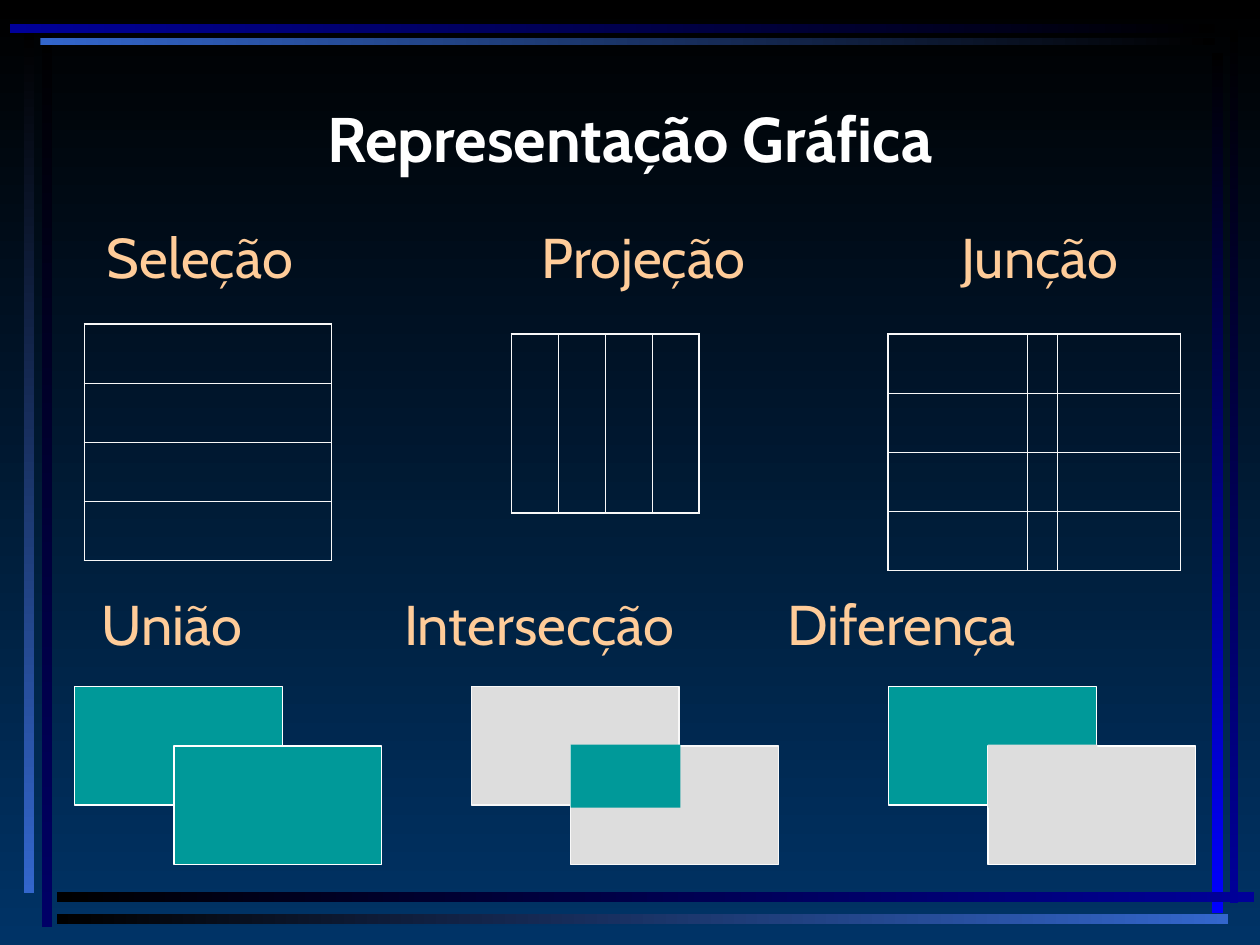
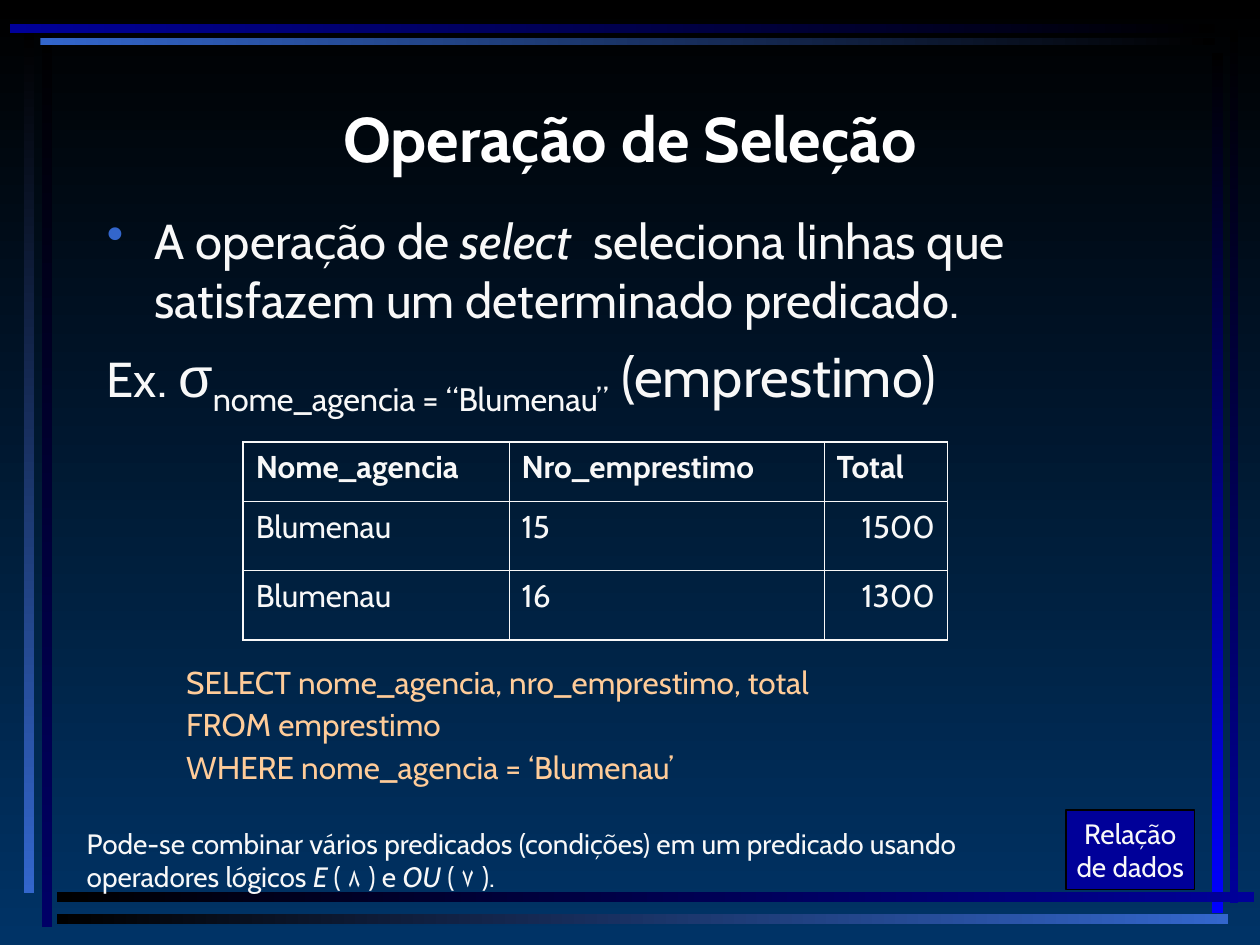
from dataclasses import dataclass
from typing import Optional, Sequence

from lxml.etree import SubElement
from pptx import Presentation
from pptx.dml.color import RGBColor
from pptx.dml.fill import FillFormat
from pptx.enum.shapes import MSO_SHAPE
from pptx.enum.text import MSO_ANCHOR, PP_ALIGN
from pptx.oxml.ns import qn
from pptx.shapes.autoshape import Shape
from pptx.slide import Slide
from pptx.text.text import TextFrame
from pptx.util import Inches, Length, Pt

GRID_COLUMNS = 100
GRID_ROWS = 75
SLIDE_WIDTH = Inches(10)
SLIDE_HEIGHT = Inches(GRID_ROWS / 10)
UNIT = SLIDE_WIDTH / GRID_COLUMNS

FONT = "Cabin"
BLACK = "000000"
WHITE = "FFFFFF"
PALE = "F8F8F8"
PEACH = "FFCC99"
NIGHT = "003366"
INK = "000066"
NAVY = "000099"
BLUE = "0000FF"
SKY = "3366CC"
TEAL = "009999"
GRAY = "DDDDDD"

ACROSS = 0
DOWN = 270
OUTER_BORDER = 1.08
INNER_BORDER = 0.45


@dataclass(frozen=True)
class Area:
    left: float
    top: float
    width: float
    height: float

    def lengths(self) -> list[Length]:
        return [grid(value) for value in (self.left, self.top, self.width, self.height)]


@dataclass(frozen=True)
class Band:
    area: Area
    start: str
    end: str
    angle: int


@dataclass(frozen=True)
class Span:
    text: str
    italic: Optional[bool] = None
    size: Optional[float] = None
    font: Optional[str] = None
    baseline: int = 0


@dataclass(frozen=True)
class Para:
    spans: Sequence[Span]
    size: float
    color: str = PALE
    bold: bool = False
    align: PP_ALIGN = PP_ALIGN.LEFT
    before: float = 0
    line_spacing: float = 1
    indent: float = 0
    bullet: str = ""


@dataclass(frozen=True)
class Heading:
    text: str
    left: float
    top: float
    width: float


@dataclass(frozen=True)
class SetPair:
    left: float
    back: str
    front: str
    overlap: Optional[str] = None
    outline: str = WHITE


BANDS = (
    Band(Area(3.3, 2.8, 0.8, 70.8), BLACK, INK, DOWN),
    Band(Area(1.9, 2.5, 0.8, 68.4), BLACK, SKY, DOWN),
    Band(Area(97.6, 2.4, 0.7, 69.3), BLACK, NAVY, DOWN),
    Band(Area(96.2, 4.2, 0.9, 68.3), BLACK, BLUE, DOWN),
    Band(Area(4.5, 70.8, 95, 0.8), BLACK, NAVY, ACROSS),
    Band(Area(4.5, 72.5, 93, 0.8), BLACK, SKY, ACROSS),
    Band(Area(3.2, 3, 93.2, 0.6), SKY, BLACK, ACROSS),
    Band(Area(0.8, 1.9, 95.6, 0.7), NAVY, BLACK, ACROSS),
)
TITLE_AREA = Area(7.5, 3.6, 85, 10.8)

HEADINGS = (
    Heading("Seleção", 7.5, 17.8, 22),
    Heading("Projeção", 42, 17.8, 24),
    Heading("Junção", 75.3, 17.8, 20),
    Heading("União", 7.1, 46.9, 20),
    Heading("Intersecção", 31.1, 46.9, 28),
    Heading("Diferença", 61.5, 46.9, 26),
)
PAIRS = (
    SetPair(5.9, TEAL, TEAL),
    SetPair(37.4, GRAY, GRAY, TEAL, PALE),
    SetPair(70.5, TEAL, GRAY, GRAY),
)
PAIR_TOP = 54.5
SET_WIDTH, SET_HEIGHT = 16.5, 9.4
SHIFT_RIGHT, SHIFT_DOWN = 7.9, 4.7

LOANS = (
    ("Nome_agencia", "Nro_emprestimo", "Total"),
    ("Blumenau", "15", "1500"),
    ("Blumenau", "16", "1300"),
)
QUERY = (
    "SELECT nome_agencia, nro_emprestimo, total",
    "FROM emprestimo",
    "WHERE nome_agencia = ‘Blumenau’",
)


def grid(units: float) -> Length:
    return Length(round(units * UNIT))


def color(value: str) -> RGBColor:
    return RGBColor.from_string(value)


def paint_gradient(fill: FillFormat, start: str, end: str, angle: int) -> None:
    fill.gradient()
    fill.gradient_angle = angle
    for stop, value in zip(fill.gradient_stops, (start, end)):
        stop.color.rgb = color(value)


def draw_box(page: Slide, area: Area, fill: Optional[str] = None,
             outline: Optional[str] = None) -> Shape:
    box = page.shapes.add_shape(MSO_SHAPE.RECTANGLE, *area.lengths())
    box.shadow.inherit = False
    if fill:
        box.fill.solid()
        box.fill.fore_color.rgb = color(fill)
    if outline:
        box.line.color.rgb = color(outline)
        box.line.width = Pt(0.75)
    else:
        box.line.fill.background()
    return box


def write(frame: TextFrame, paras: Sequence[Para]) -> None:
    for index, para in enumerate(paras):
        paragraph = frame.add_paragraph() if index else frame.paragraphs[0]
        paragraph.alignment = para.align
        paragraph.space_before = Pt(para.before)
        paragraph.line_spacing = para.line_spacing
        paragraph.font.name = FONT
        paragraph.font.size = Pt(para.size)
        paragraph.font.bold = para.bold
        paragraph.font.color.rgb = color(para.color)
        if para.indent:
            set_indent(paragraph, para)
        for span in para.spans:
            run = paragraph.add_run()
            run.text = span.text
            if span.italic:
                run.font.italic = True
            if span.size:
                run.font.size = Pt(span.size)
            if span.font:
                run.font.name = span.font
            if span.baseline:
                run._r.get_or_add_rPr().set("baseline", str(span.baseline * 1000))


def set_indent(paragraph, para: Para) -> None:
    properties = paragraph._p.get_or_add_pPr()
    properties.set("marL", str(grid(para.indent)))
    properties.set("indent", str(-grid(para.indent)))
    if para.bullet:
        defaults = properties.find(qn("a:defRPr"))
        bullet_color = SubElement(properties, qn("a:buClr"))
        SubElement(bullet_color, qn("a:srgbClr")).set("val", SKY)
        character = SubElement(properties, qn("a:buChar"))
        character.set("char", para.bullet)
        for node in (bullet_color, character):
            defaults.addprevious(node)


def draw_text(page: Slide, area: Area, paras: Sequence[Para],
              anchor: MSO_ANCHOR = MSO_ANCHOR.TOP) -> None:
    frame = page.shapes.add_textbox(*area.lengths()).text_frame
    frame.word_wrap = True
    frame.vertical_anchor = anchor
    write(frame, paras)


def draw_table(page: Slide, left: float, top: float, widths: Sequence[float],
               heights: Sequence[float], texts: Sequence[Sequence[str]] = ()) -> None:
    area = Area(left, top, sum(widths), sum(heights))
    table = page.shapes.add_table(len(heights), len(widths), *area.lengths()).table
    table.first_row = bool(texts)
    table.horz_banding = False
    for column, width in zip(table.columns, widths):
        column.width = grid(width)
    for row, height in zip(table.rows, heights):
        row.height = grid(height)
    last_row, last_column = len(heights) - 1, len(widths) - 1
    for row in range(len(heights)):
        for column in range(len(widths)):
            cell = table.cell(row, column)
            edges = {"L": column == 0, "R": column == last_column,
                     "T": row == 0, "B": row == last_row}
            for side, outer in edges.items():
                border = SubElement(cell._tc.get_or_add_tcPr(), qn(f"a:ln{side}"))
                border.set("w", str(Pt(OUTER_BORDER if outer else INNER_BORDER)))
                fill = SubElement(border, qn("a:solidFill"))
                SubElement(fill, qn("a:srgbClr")).set("val", PALE)
            cell.fill.background()
            if texts:
                numeric = row > 0 and column == last_column
                align = PP_ALIGN.RIGHT if numeric else PP_ALIGN.LEFT
                write(cell.text_frame, [Para([Span(texts[row][column])], 18,
                                             bold=row == 0, align=align, before=4.5)])


def draw_pair(page: Slide, pair: SetPair) -> None:
    inner_left = pair.left + SHIFT_RIGHT
    draw_box(page, Area(pair.left, PAIR_TOP, SET_WIDTH, SET_HEIGHT), pair.back, pair.outline)
    draw_box(page, Area(inner_left, PAIR_TOP + SHIFT_DOWN, SET_WIDTH, SET_HEIGHT),
             pair.front, pair.outline)
    if pair.overlap:
        draw_box(page, Area(inner_left, PAIR_TOP + SHIFT_DOWN - 0.1, 8.7, 5), pair.overlap)


def add_page(deck, title: str) -> Slide:
    page = deck.slides.add_slide(deck.slide_layouts[6])
    paint_gradient(page.background.fill, BLACK, NIGHT, DOWN)
    for band in BANDS:
        paint_gradient(draw_box(page, band.area).fill, band.start, band.end, band.angle)
    draw_text(page, TITLE_AREA,
              [Para([Span(title)], 36, WHITE, bold=True, align=PP_ALIGN.CENTER)],
              MSO_ANCHOR.BOTTOM)
    return page


def build_operations(deck) -> None:
    page = add_page(deck, "Representação Gráfica")
    draw_table(page, 6.7, 25.7, [19.6], [4.7] * 4)
    draw_table(page, 40.6, 26.5, [14.9 / 4] * 4, [14.2])
    draw_table(page, 70.5, 26.5, [11, 2.4, 9.8], [4.7] * 4)
    for heading in HEADINGS:
        draw_text(page, Area(heading.left, heading.top, heading.width, 8.3),
                  [Para([Span(heading.text)], 32, PEACH, before=8, line_spacing=0.9)])
    for pair in PAIRS:
        draw_pair(page, pair)


def build_selection(deck) -> None:
    page = add_page(deck, "Operação de Seleção")
    draw_text(page, Area(7.5, 16.2, 85, 19.9), [
        Para([Span("A operação de "), Span("select ", italic=True),
              Span(" seleciona linhas que satisfazem um determinado predicado.")],
             28, before=7, indent=3.8, bullet="•"),
        Para([Span("Ex. "), Span("σ", size=32, font="Arial"),
              Span("nome_agencia = “Blumenau”", size=32, baseline=-25),
              Span(" (emprestimo)", size=32)], 28, before=8, indent=3.8),
    ])
    draw_table(page, 19.3, 35.1, [21.1, 25, 9.8], [4.7, 5.5, 5.5], LOANS)
    draw_text(page, Area(5.9, 65.1, 76.4, 6.4), [
        Para([Span("Pode-se combinar vários predicados (condições) em um predicado "
                   "usando operadores lógicos "),
              Span("E ", italic=True), Span("( ۸ ) e "),
              Span("OU ", italic=True), Span("( ۷ ).")], 16, before=10)])
    button = draw_box(page, Area(84.6, 64.3, 10.2, 6.3), NAVY, BLACK)
    button.text_frame.word_wrap = False
    button.text_frame.vertical_anchor = MSO_ANCHOR.MIDDLE
    write(button.text_frame, [Para([Span(line)], 16, align=PP_ALIGN.CENTER)
                              for line in ("Relação", "de dados")])
    draw_text(page, Area(13.8, 53.2, 78, 9.6),
              [Para([Span(line)], 18, PEACH, before=11.2, line_spacing=0.6) for line in QUERY])


def main() -> None:
    deck = Presentation()
    deck.slide_width = SLIDE_WIDTH
    deck.slide_height = SLIDE_HEIGHT
    build_operations(deck)
    build_selection(deck)
    deck.save("out.pptx")


if __name__ == "__main__":
    main()
